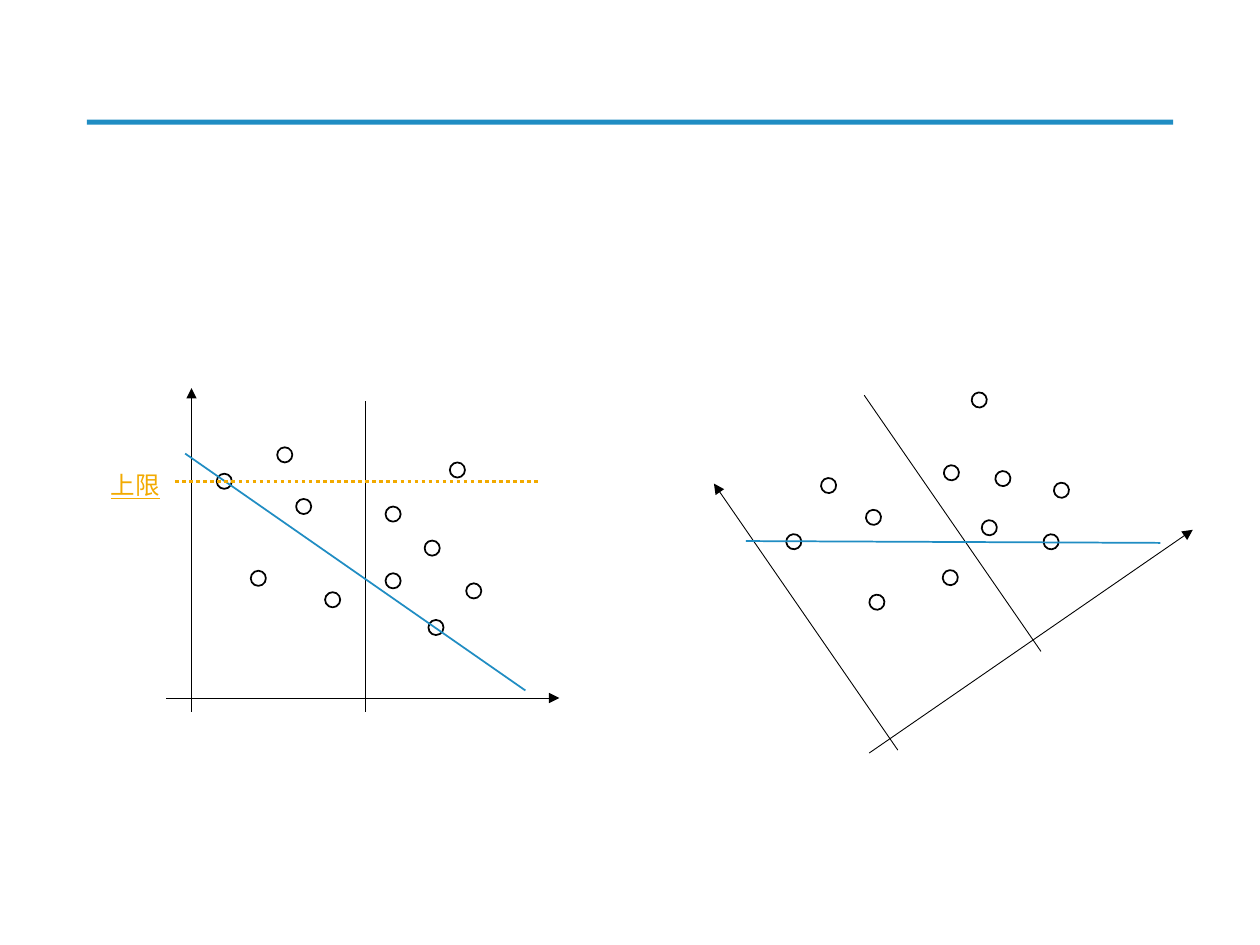
from dataclasses import dataclass
from math import cos, radians, sin

from lxml.etree import SubElement
from pptx import Presentation
from pptx.dml.color import RGBColor
from pptx.enum.dml import MSO_LINE
from pptx.enum.shapes import MSO_CONNECTOR, MSO_SHAPE
from pptx.enum.text import MSO_AUTO_SIZE
from pptx.oxml.ns import qn
from pptx.shapes.group import GroupShape
from pptx.util import Inches, Pt

COLORS = {"ink": "000000", "blue": "208DC3", "gold": "F2AA00"}
SIZE = 0.12


@dataclass(frozen=True)
class Line:
    """A straight line in the upright plot."""
    x1: float
    y1: float
    x2: float
    y2: float
    color: str = "ink"
    width: float = 0.5
    arrow: bool = False
    dotted: bool = False


@dataclass(frozen=True)
class View:
    """A turn of the plot about a pivot that is moved to a target."""
    angle: float = 0
    pivot: tuple[float, float] = (0, 0)
    target: tuple[float, float] = (0, 0)

    def place(self, x: float, y: float) -> tuple[float, float]:
        """Return the place of a point in this view."""
        turn = radians(self.angle)
        dx, dy = x - self.pivot[0], y - self.pivot[1]
        return (self.target[0] + dx * cos(turn) - dy * sin(turn),
                self.target[1] + dx * sin(turn) + dy * cos(turn))


AXES = [
    Line(1.52, 5.65, 1.52, 3.08, arrow=True),
    Line(1.32, 5.54, 4.44, 5.54, arrow=True),
    Line(2.9, 5.65, 2.9, 3.18),
]
TREND = Line(1.47, 3.6, 4.17, 5.48, "blue", 1)
LIMIT = Line(1.39, 3.82, 4.28, 3.82, "gold", 2, dotted=True)
DOTS = [
    (2.05, 4.59), (1.78, 3.82), (3.46, 4.98), (2.64, 4.76),
    (2.41, 4.02), (3.12, 4.61), (3.12, 4.08), (2.26, 3.61),
    (3.76, 4.69), (3.43, 4.35), (3.63, 3.73),
]
UPRIGHT = View()
TILTED = View(-34.6, (2.05, 4.59), (6.96, 4.78))


def paint(name: str) -> RGBColor:
    """Return a named colour."""
    return RGBColor.from_string(COLORS[name])


def draw_line(group: GroupShape, line: Line, view: View) -> None:
    """Draw a line as seen in a view."""
    ends = (*view.place(line.x1, line.y1), *view.place(line.x2, line.y2))
    shape = group.shapes.add_connector(
        MSO_CONNECTOR.STRAIGHT, *(Inches(end) for end in ends))
    shape.line.color.rgb = paint(line.color)
    shape.line.width = Pt(line.width)
    if line.dotted:
        shape.line.dash_style = MSO_LINE.ROUND_DOT
    if line.arrow:
        SubElement(shape.line._get_or_add_ln(), qn("a:tailEnd"), type="triangle")
    SubElement(shape._element.spPr, qn("a:effectLst"))


def draw_dot(group: GroupShape, x: float, y: float, view: View) -> None:
    """Draw a hollow dot as seen in a view."""
    cx, cy = view.place(x, y)
    dot = group.shapes.add_shape(
        MSO_SHAPE.OVAL, Inches(cx - SIZE / 2), Inches(cy - SIZE / 2),
        Inches(SIZE), Inches(SIZE))
    dot.rotation = view.angle
    dot.shadow.inherit = False
    dot.fill.background()
    dot.line.color.rgb = paint("ink")
    dot.line.width = Pt(1)


def draw_plot(group: GroupShape, view: View) -> None:
    """Draw the axes, dots and trend line in a view."""
    for line in AXES:
        draw_line(group, line, view)
    for x, y in DOTS:
        draw_dot(group, x, y, view)
    draw_line(group, TREND, view)


def draw_label(group: GroupShape) -> None:
    """Draw the label of the limit line."""
    box = group.shapes.add_textbox(
        Inches(0.78), Inches(3.68), Inches(0.59), Inches(0.34))
    frame = box.text_frame
    frame.text = "上限"
    frame.word_wrap = False
    frame.auto_size = MSO_AUTO_SIZE.SHAPE_TO_FIT_TEXT
    font = frame.paragraphs[0].runs[0].font
    font.name = "Calibri"
    font.size = Pt(14)
    font.underline = True
    font.color.rgb = paint("gold")


def main() -> None:
    """Build the slide and save it."""
    deck = Presentation()
    deck.slide_width, deck.slide_height = Inches(10), Inches(7.5)
    slide = deck.slides.add_slide(deck.slide_layouts[6])
    rule = slide.shapes.add_shape(
        MSO_SHAPE.RECTANGLE, Inches(0.69), Inches(0.95), Inches(8.62), Inches(0.04))
    rule.shadow.inherit = False
    rule.fill.solid()
    rule.fill.fore_color.rgb = paint("blue")
    rule.line.fill.background()
    draw_plot(slide.shapes.add_group_shape(), TILTED)
    left = slide.shapes.add_group_shape()
    draw_plot(left, UPRIGHT)
    draw_line(left, LIMIT, UPRIGHT)
    draw_label(left)
    deck.save("out.pptx")


if __name__ == "__main__":
    main()
